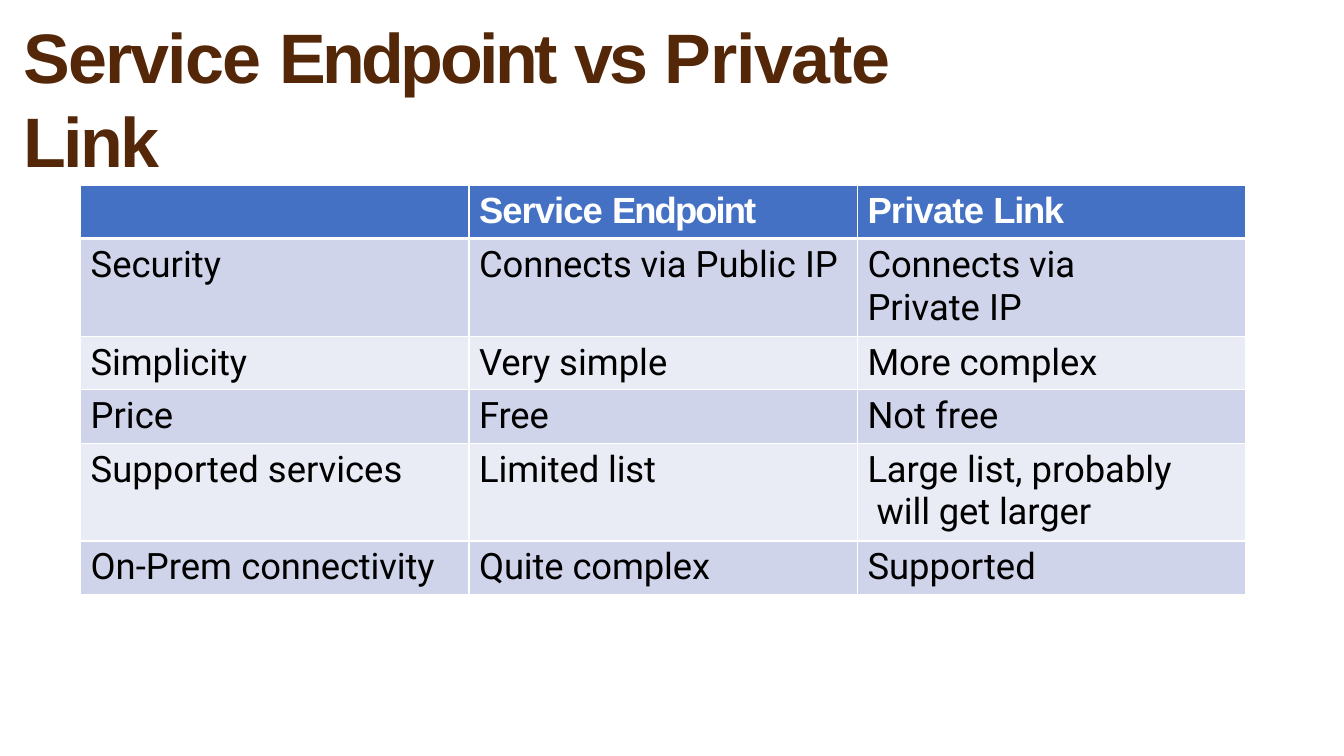
from lxml.etree import SubElement
from pptx import Presentation
from pptx.dml.color import RGBColor
from pptx.enum.text import MSO_ANCHOR as Anchor, MSO_AUTO_SIZE as AutoSize, PP_ALIGN as Align
from pptx.oxml.ns import qn
from pptx.util import Inches, Pt

WIDTH, HEIGHT = 13.33, 7.5
TITLE_ONLY = 5
BROWN, BLUE, WHITE, BLACK = "532708", "4471C4", "FFFFFF", "000000"
BANDS = ("CFD4EA", "E9EBF5")
BREAK = ("\n", 0)
SHORT, TALL = 7.07, 12.93

TITLE = [("Service ", -1.4), ("Endpoint ", -2.5), ("vs ", -2.4), ("Private ", -1), ("Link", -1.9)]
COMPARISON = [
    (SHORT, [
        [],
        [("Service ", -0.7), ("Endpoint", -1.4)],
        [("Private ", -0.6), ("Link", -1)],
    ]),
    (TALL, [
        [("Security", 0)],
        [("Connects via ", -0.1), ("Public ", 0), ("IP", -0.1)],
        [("Connects via", -0.1), BREAK, ("Private IP", 0)],
    ]),
    (SHORT, [
        [("Simplicity", -0.1)],
        [("Very ", -0.1), ("simple", 0)],
        [("More complex", -0.1)],
    ]),
    (SHORT, [
        [("Price", 0)],
        [("Free", -0.1)],
        [("Not free", 0)],
    ]),
    (TALL, [
        [("Supported services", 0)],
        [("Limited list", -0.1)],
        [("Large ", -0.1), ("list, probably", 0), BREAK, ("will get larger", -0.1)],
    ]),
    (SHORT, [
        [("On-Prem ", 0), ("connectivity", -0.1)],
        [("Quite complex", -0.1)],
        [("Supported", 0)],
    ]),
]


def across(percent):
    return Inches(WIDTH * percent / 100)


def down(percent):
    return Inches(HEIGHT * percent / 100)


def colour(code):
    return RGBColor.from_string(code)


def write_runs(para, pieces, size, font_name, code, bold):
    for text, spacing in pieces:
        if text == "\n":
            para.add_line_break()
            continue
        run = para.add_run()
        run.text = text
        run.font.size = Pt(size)
        run.font.name = font_name
        run.font.bold = bold
        run.font.color.rgb = colour(code)
        run.font._element.set("spc", str(round(spacing * 100)))


def indent(para, margin, first_line=0):
    properties = para._p.get_or_add_pPr()
    properties.set("marL", str(Inches(margin)))
    properties.set("indent", str(Inches(first_line)))


def add_title(page):
    title = page.shapes.title
    title.left, title.top = across(1.7), down(1.6)
    title.width, title.height = across(75.6), down(11.5)
    frame = title.text_frame
    frame.margin_left = frame.margin_right = frame.margin_bottom = 0
    frame.margin_top = Inches(0.01)
    frame.word_wrap = True
    frame.auto_size = AutoSize.SHAPE_TO_FIT_TEXT
    frame.vertical_anchor = Anchor.TOP
    para = frame.paragraphs[0]
    para.alignment = Align.LEFT
    indent(para, 0.01)
    write_runs(para, TITLE, 50, "Arial", BROWN, True)


def add_borders(cell, top, bottom):
    properties = cell._tc.get_or_add_tcPr()
    for side, points in (("L", 1), ("R", 1), ("T", top), ("B", bottom)):
        line = SubElement(properties, qn(f"a:ln{side}"), w=str(Pt(points)))
        fill = SubElement(line, qn("a:solidFill"))
        SubElement(fill, qn("a:srgbClr"), val=WHITE)


def fill_cell(cell, pieces, row):
    header = row == 0
    add_borders(cell, 3 if row == 1 else 1, 3 if header else 1)
    cell.fill.solid()
    cell.fill.fore_color.rgb = colour(BLUE if header else BANDS[(row - 1) % 2])
    cell.margin_left = cell.margin_right = cell.margin_bottom = 0
    cell.margin_top = Inches(0.05)
    para = cell.text_frame.paragraphs[0]
    hanging = ("will get larger", -0.1) in pieces
    indent(para, 0.19 if hanging else 0.1, -0.09 if hanging else 0)
    font_name, code = ("Arial", WHITE) if header else ("Roboto", BLACK)
    write_runs(para, pieces, 26, font_name, code, header)


def add_comparison(page):
    total = sum(height for height, _ in COMPARISON)
    frame = page.shapes.add_table(
        len(COMPARISON), 3, across(6), down(24.5), across(86.7), down(total))
    table = frame.table
    for row, (height, cells) in enumerate(COMPARISON):
        table.rows[row].height = down(height)
        for column, pieces in enumerate(cells):
            fill_cell(table.cell(row, column), pieces, row)


def main():
    deck = Presentation()
    deck.slide_width, deck.slide_height = Inches(WIDTH), Inches(HEIGHT)
    page = deck.slides.add_slide(deck.slide_layouts[TITLE_ONLY])
    add_title(page)
    add_comparison(page)
    deck.save("out.pptx")


if __name__ == "__main__":
    main()
